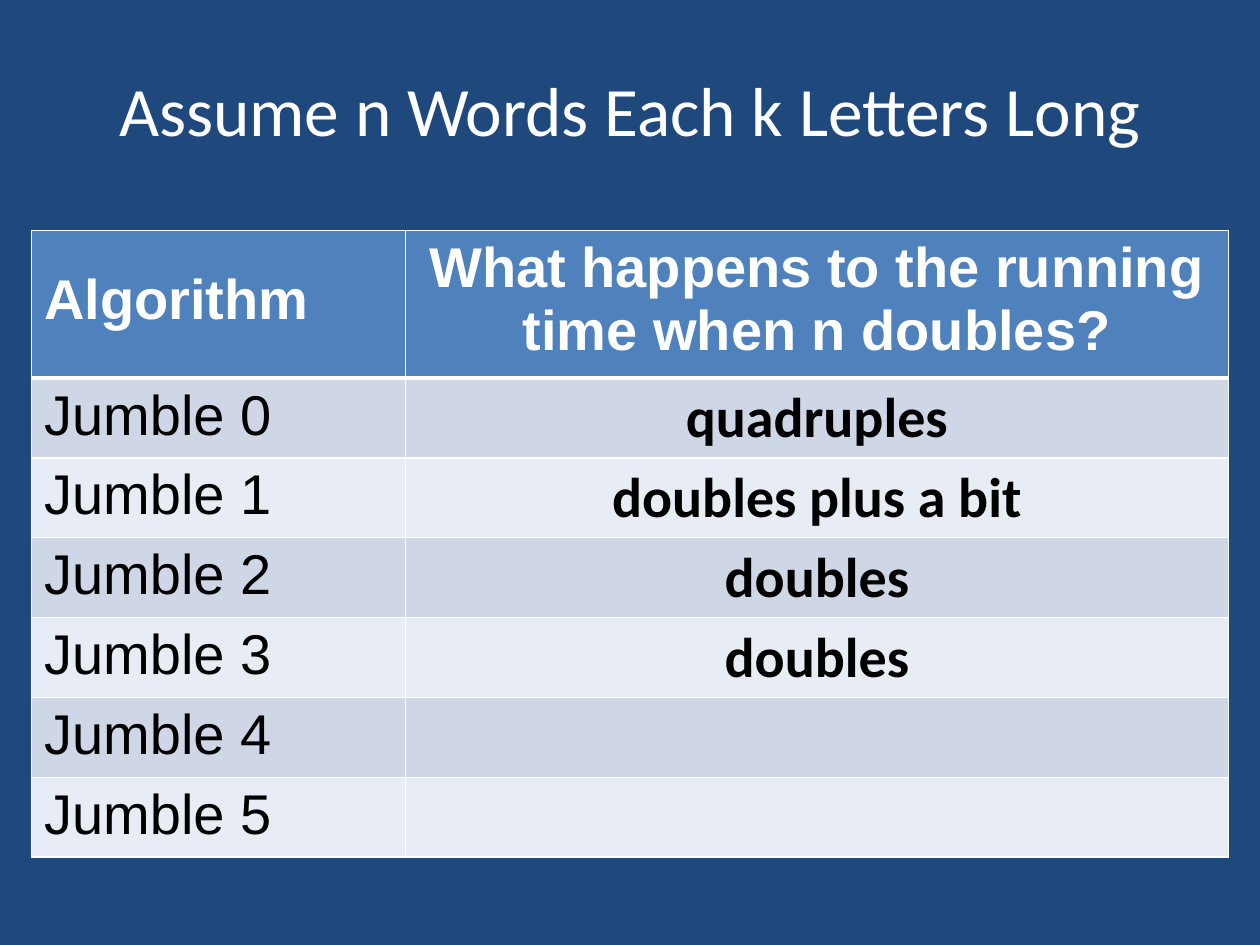
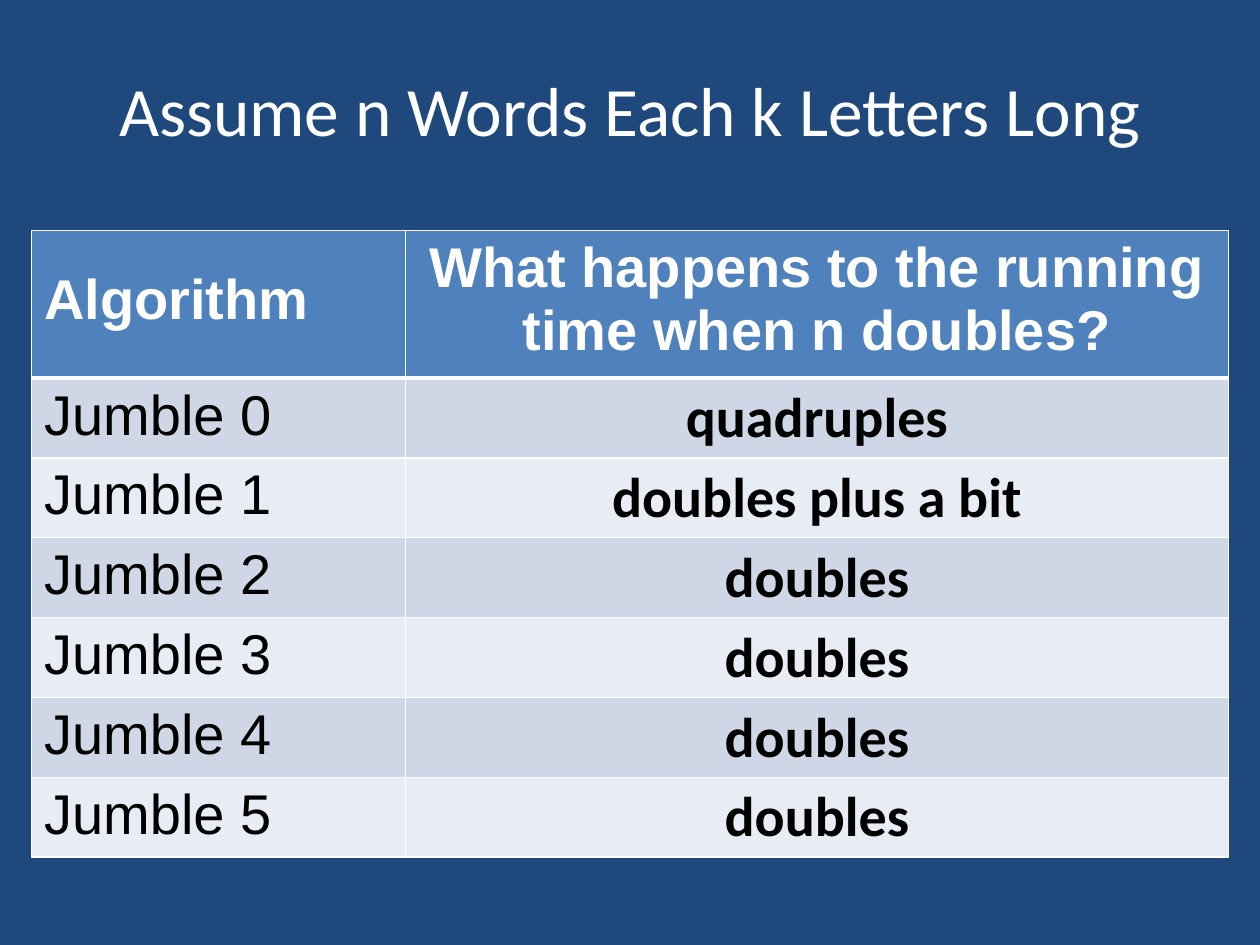
from pptx import Presentation
from pptx.dml.color import RGBColor
from pptx.enum.text import MSO_ANCHOR, PP_ALIGN
from pptx.oxml.ns import qn
from pptx.util import Inches, Pt
from lxml import etree

LEFT, CENTER = PP_ALIGN.LEFT, PP_ALIGN.CENTER
MIDDLE = MSO_ANCHOR.MIDDLE

NAVY = RGBColor(0x1F, 0x49, 0x7D)
BLUE = RGBColor(0x4F, 0x81, 0xBD)
DARK = RGBColor(0xCF, 0xD7, 0xE7)
PALE = RGBColor(0xE8, 0xEC, 0xF4)
WHITE = RGBColor(0xFF, 0xFF, 0xFF)
BLACK = RGBColor(0, 0, 0)

TITLE = "Assume n Words Each k Letters Long"
HEADS = ("Algorithm", "What happens to the running time when n doubles?")
GROWTH = ("quadruples", "doubles plus a bit", "doubles", "doubles", "doubles", "doubles")
SHOWN = (4, 6)

TITLE_BOX = (0.5, 0.47, 9, 0.78)
TABLE_AT = (0.25, 1.83)
COLS = (2.97, 6.53)
HEAD_H, ROW_H = 1.17, 0.41

TITLE_FONT = {"name": "Calibri", "size": Pt(39.6)}
HEAD_FONT = {"name": "Arial", "size": Pt(32), "bold": True}
NAME_FONT = {"name": "Arial", "size": Pt(32), "bold": False}
GROWTH_FONT = {"name": "Calibri", "size": Pt(32), "bold": True}


def write(frame, text, font, color, align):
    para = frame.paragraphs[0]
    para.alignment = align
    run = para.add_run()
    run.text = text
    for key, value in font.items():
        setattr(run.font, key, value)
    run.font.color.rgb = color


def add_title(slide, box):
    frame = slide.shapes.add_textbox(*map(Inches, box)).text_frame
    frame.word_wrap = True
    frame.vertical_anchor = MIDDLE
    write(frame, TITLE, TITLE_FONT, WHITE, CENTER)


def add_edges(cell, top, bottom):
    """Draw white cell borders; top and bottom are widths in points."""
    props = cell._tc.get_or_add_tcPr()
    for side, width in (("L", 1), ("R", 1), ("T", top), ("B", bottom)):
        line = etree.SubElement(props, qn(f"a:ln{side}"), w=str(Pt(width)))
        fill = etree.SubElement(line, qn("a:solidFill"))
        etree.SubElement(fill, qn("a:srgbClr"), val=str(WHITE))


def add_table(slide, at, shown):
    """Place the table with the first `shown` growth answers filled in."""
    left, top = at
    count = len(GROWTH)
    height = HEAD_H + count * ROW_H
    table = slide.shapes.add_table(
        count + 1, len(COLS), *map(Inches, (left, top, sum(COLS), height))).table
    for col, width in zip(table.columns, COLS):
        col.width = Inches(width)
    for i, row in enumerate(table.rows):
        row.height = Inches(ROW_H if i else HEAD_H)
        fill = (PALE, DARK)[i % 2] if i else BLUE
        for cell in row.cells:
            add_edges(cell, 3 if i == 1 else 1, 1 if i else 3)
            cell.fill.solid()
            cell.fill.fore_color.rgb = fill

    for cell, text, align in zip(table.rows[0].cells, HEADS, (LEFT, CENTER)):
        write(cell.text_frame, text, HEAD_FONT, WHITE, align)
    table.cell(0, 0).margin_top = Inches(0.3)
    for i, growth in enumerate(GROWTH):
        name, answer = table.rows[i + 1].cells
        write(name.text_frame, f"Jumble {i}", NAME_FONT, BLACK, LEFT)
        if i < shown:
            write(answer.text_frame, growth, GROWTH_FONT, BLACK, CENTER)


def add_slide(deck, shown):
    slide = deck.slides.add_slide(deck.slide_layouts[6])
    slide.background.fill.solid()
    slide.background.fill.fore_color.rgb = NAVY
    add_title(slide, TITLE_BOX)
    add_table(slide, TABLE_AT, shown)


def main():
    deck = Presentation()
    deck.slide_width, deck.slide_height = Inches(10), Inches(7.5)
    for shown in SHOWN:
        add_slide(deck, shown)
    deck.save("out.pptx")


if __name__ == "__main__":
    main()
